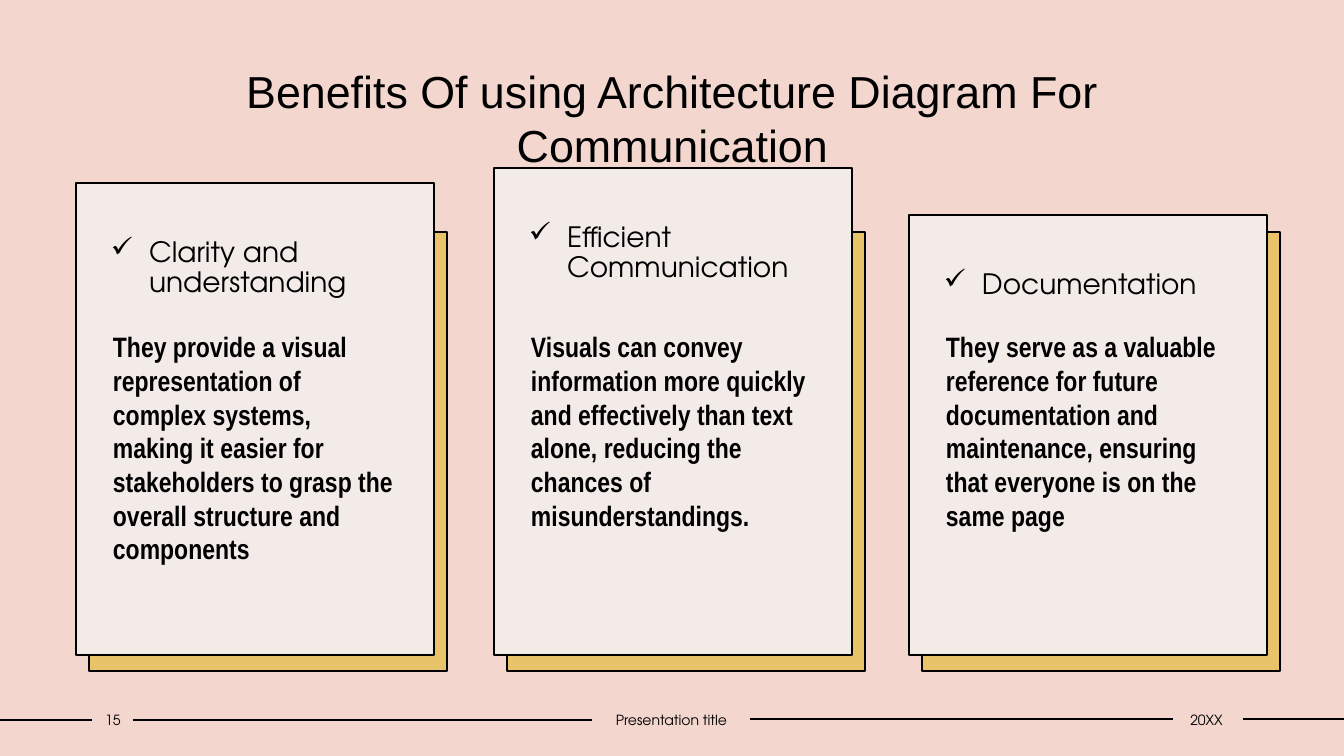
from lxml import etree
from pptx import Presentation
from pptx import util as u
from pptx.dml import color
from pptx.enum import shapes, text
from pptx.oxml import ns

PX = u.Inches(1) / 100.8
COLORS = {"background": "F3D6CD", "card": "F3EBE8", "shadow": "E9C369", "ink": "000000"}
HEADING_FONT = "TeX Gyre Adventor"
BENEFITS = [
    (76, 183, "Clarity and understanding",
     "They provide a visual representation of complex systems, making it easier for "
     "stakeholders to grasp the overall structure and components"),
    (494, 168, "Efficient Communication",
     "Visuals can convey information more quickly and effectively than text alone, "
     "reducing the chances of misunderstandings."),
    (909, 215, "Documentation",
     "They serve as a valuable reference for future documentation and maintenance, "
     "ensuring that everyone is on the same page"),
]


def px(length):
    """Turn px into EMU."""
    return u.Emu(round(length * PX))


def rgb(name):
    """Look up a colour by its role."""
    return color.RGBColor.from_string(COLORS[name])


def add_panel(slide, box, fill):
    """Draw an outlined rectangle without a shadow effect."""
    panel = slide.shapes.add_shape(shapes.MSO_SHAPE.RECTANGLE, *map(px, box))
    panel.shadow.inherit = False
    panel.fill.solid()
    panel.fill.fore_color.rgb = rgb(fill)
    panel.line.color.rgb = rgb("ink")
    panel.line.width = u.Pt(2)
    return panel


def write(holder, words, size, font=HEADING_FONT, bold=False, align="LEFT",
          anchor="TOP", insets=(10, 5, 10, 5), spacing=None, bullet=None):
    """Put one formatted paragraph into a shape."""
    frame = holder.text_frame
    frame.word_wrap = True
    frame.vertical_anchor = text.MSO_ANCHOR[anchor]
    (frame.margin_left, frame.margin_top,
     frame.margin_right, frame.margin_bottom) = map(px, insets)
    paragraph = frame.paragraphs[0]
    paragraph.alignment = text.PP_ALIGN[align]
    if spacing:
        paragraph.line_spacing = spacing
    if bullet:
        properties = paragraph._p.get_or_add_pPr()
        properties.set("marL", str(px(38)))
        properties.set("indent", str(-px(38)))
        etree.SubElement(properties, ns.qn("a:buChar")).set("char", bullet)
    run = paragraph.add_run()
    run.text = words
    run.font.size = u.Pt(size)
    run.font.name = font
    run.font.bold = bold
    run.font.color.rgb = rgb("ink")


def add_words(slide, box, words, size, **style):
    """Place a text box."""
    write(slide.shapes.add_textbox(*map(px, box)), words, size, **style)


def add_benefit(slide, box, heading, explanation):
    """Draw one benefit card with its offset backing."""
    left, top, width, height = box
    bottom = top + height
    add_panel(slide, (left + 13, bottom - 423, width, 439), "shadow")
    card = add_panel(slide, box, "card")
    write(card, heading, 20, insets=(35, 55, 10, 5), spacing=0.9, bullet="✓")
    add_words(slide, (left + 27, bottom - 330, 302, 307), explanation, 20,
              font="Arial Narrow", bold=True, spacing=u.Pt(24))


def add_footer(slide, box):
    """Draw the footer labels and the rules between them."""
    left, top, width, height = box
    for start, end, drop in [(0, 92, 14), (133, 592, 14), (750, 1173, 13), (1243, width, 13)]:
        rule = slide.shapes.add_connector(
            shapes.MSO_CONNECTOR.STRAIGHT,
            *map(px, (left + start, top + drop, left + end, top + drop)))
        rule.line.color.rgb = rgb("ink")
        rule.line.width = u.Pt(1)
        etree.SubElement(rule._element.spPr, ns.qn("a:effectLst"))
    for start, label_width, label in [(93, 40, "15"), (591, 161, "Presentation title"),
                                      (1171, 71, "20XX")]:
        add_words(slide, (left + start, top, label_width, height), label, 10,
                  align="CENTER", anchor="MIDDLE", insets=(0, 5, 0, 5))


def main():
    """Build and save the slide."""
    deck = Presentation()
    deck.slide_width, deck.slide_height = px(1344), px(756)
    slide = deck.slides.add_slide(deck.slide_layouts[6])
    slide.background.fill.solid()
    slide.background.fill.fore_color.rgb = rgb("background")
    add_footer(slide, (0, 706, 1344, 27))
    add_words(slide, (126, 59, 1093, 112),
              "Benefits Of using Architecture Diagram For Communication", 32,
              font="Arial", align="CENTER", spacing=u.Pt(38.5))
    for left, top, heading, explanation in BENEFITS:
        add_benefit(slide, (left, top, 358, 655 - top), heading, explanation)
    deck.save("out.pptx")


if __name__ == "__main__":
    main()
